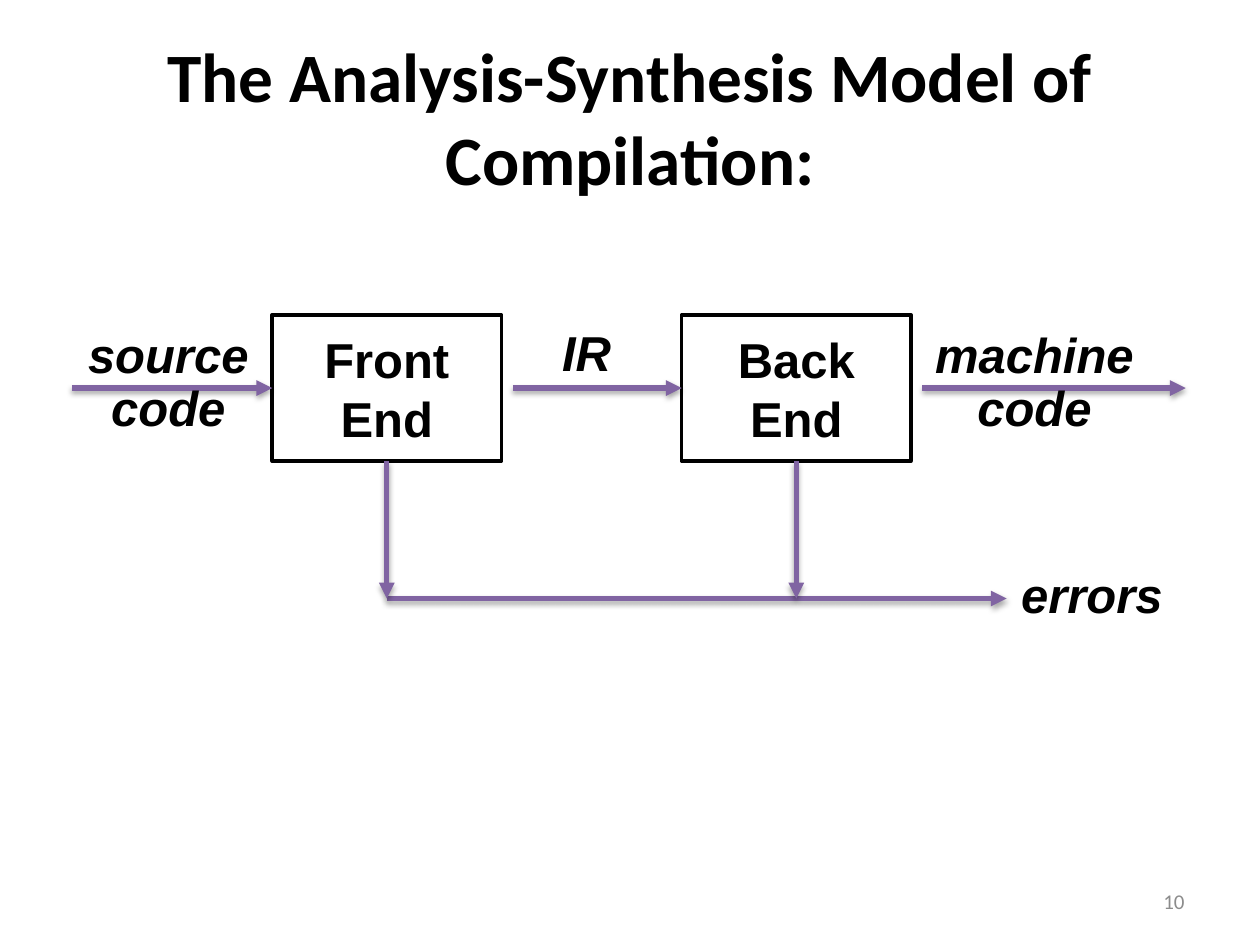
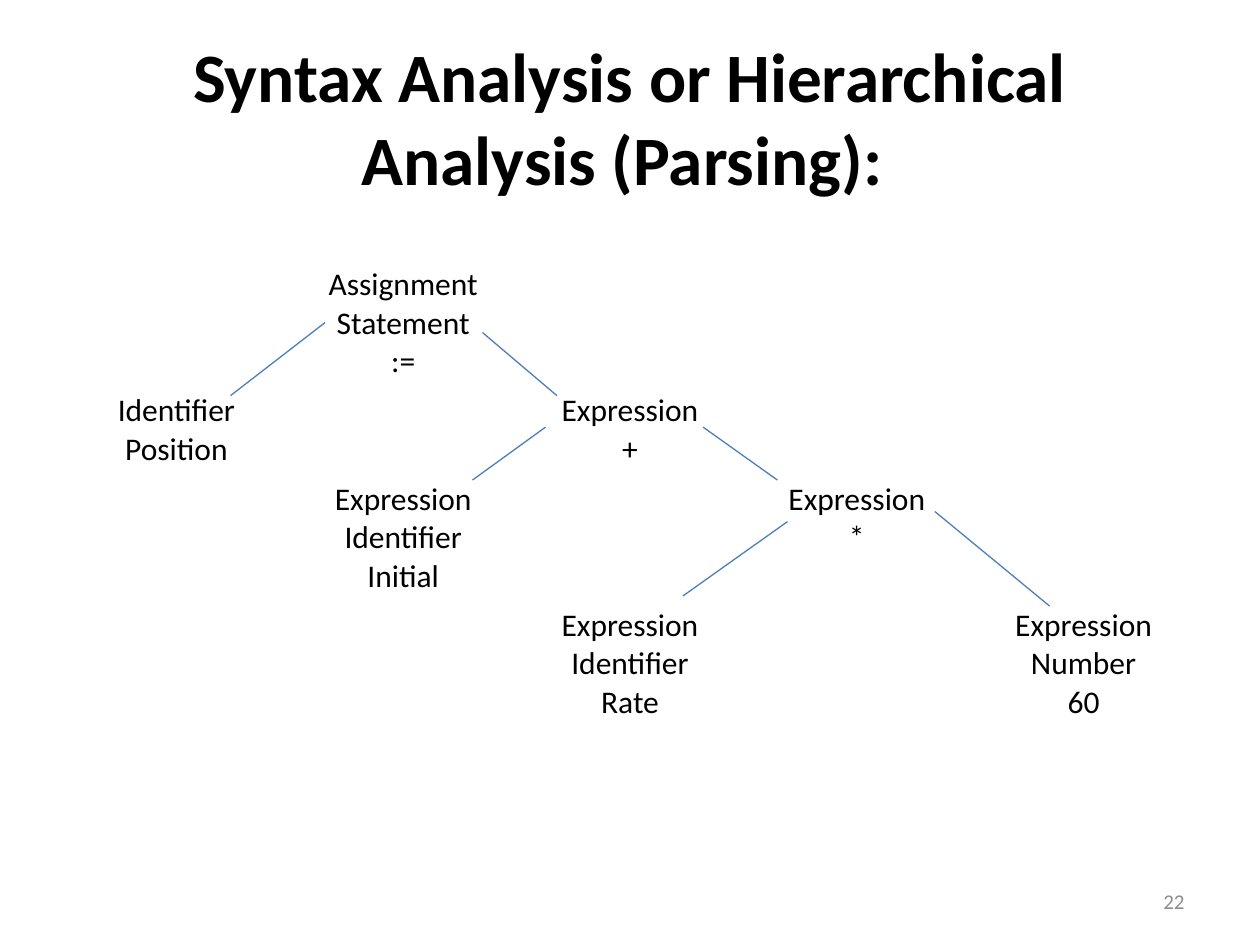
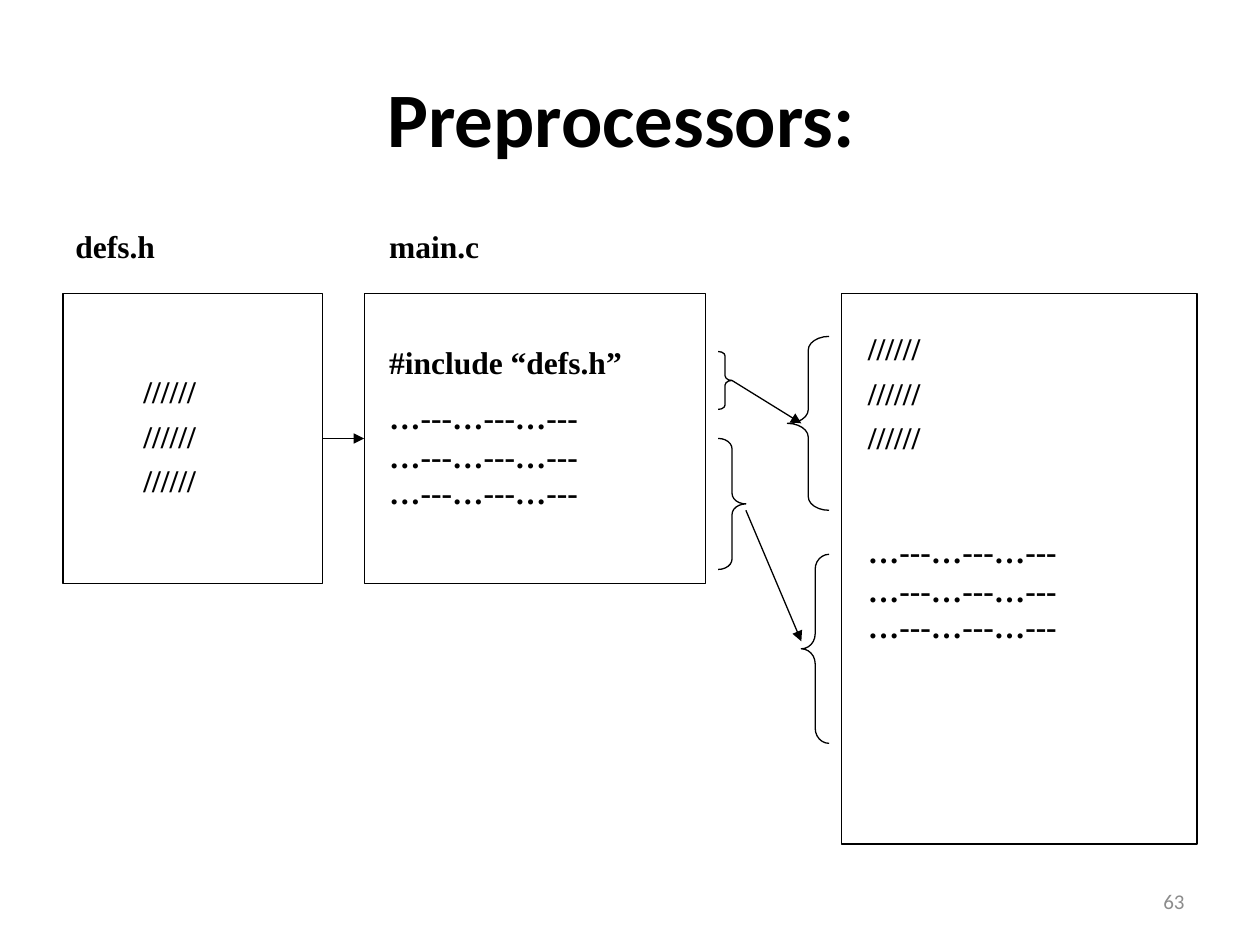
"""Build three slides on compiler structure: model, parse tree and preprocessors."""
from lxml.etree import SubElement
from pptx import Presentation
from pptx.dml.color import RGBColor
from pptx.enum.shapes import MSO_CONNECTOR, MSO_SHAPE
from pptx.enum.text import MSO_ANCHOR, PP_ALIGN
from pptx.oxml.ns import qn
from pptx.util import Inches, Pt

COLORS = {"black": "000000", "white": "FFFFFF", "purple": "8064A2", "blue": "4B7EBC", "gray": "8C8C8C"}
STYLES = {
    "title": {"name": "Calibri", "size": Pt(39.6), "bold": True},
    "short_title": {"name": "Calibri", "size": Pt(44), "bold": True},
    "number": {"name": "Calibri", "size": Pt(12)},
    "stage": {"name": "Arial", "size": Pt(28), "bold": True},
    "flow": {"name": "Arial", "size": Pt(28), "bold": True, "italic": True},
    "tree": {"name": "Calibri", "size": Pt(18)},
    "code": {"name": "Times New Roman", "size": Pt(18), "bold": True},
}


def write_text(text_frame, lines, style, align=PP_ALIGN.CENTER, spacings=(), before=0, color="black"):
    text_frame.word_wrap = True
    for index, line in enumerate(lines):
        paragraph = text_frame.add_paragraph() if index else text_frame.paragraphs[0]
        paragraph.text = line
        paragraph.alignment = align
        if spacings:
            paragraph.line_spacing = spacings[index]
        if index:
            paragraph.space_before = Pt(before)
        for run in paragraph.runs:
            for attribute, value in STYLES[style].items():
                setattr(run.font, attribute, value)
            run.font.color.rgb = RGBColor.from_string(COLORS[color])


def add_line(slide, begin, end, color, width, arrow=True, shadow=False):
    connector = slide.shapes.add_connector(MSO_CONNECTOR.STRAIGHT, *map(Inches, begin + end))
    connector.line.color.rgb = RGBColor.from_string(COLORS[color])
    connector.line.width = Pt(width)
    if arrow:
        SubElement(connector.line._get_or_add_ln(), qn("a:tailEnd"), type="triangle")
    effects = SubElement(connector._element.spPr, qn("a:effectLst"))
    if shadow:
        outer = SubElement(effects, qn("a:outerShdw"), blurRad=str(Pt(3.1)), dist=str(Pt(1.8)),
                           dir="5400000", rotWithShape="0")
        shade = SubElement(outer, qn("a:srgbClr"), val=COLORS["black"])
        SubElement(shade, qn("a:alpha"), val="35000")
    return connector


presentation = Presentation()
presentation.slide_width = Inches(10)
presentation.slide_height = Inches(7.5)

slides = []
for title, title_style, number in [
    ("The Analysis-Synthesis Model of Compilation:", "title", "10"),
    ("Syntax Analysis or Hierarchical Analysis (Parsing): ", "title", "22"),
    ("Preprocessors: ", "short_title", "63"),
]:
    slide = presentation.slides.add_slide(presentation.slide_layouts[6])
    slides.append(slide)
    for text, style, box, align, color in [
        (title, title_style, (0.5, 0.3, 9, 1.25), PP_ALIGN.CENTER, "black"),
        (number, "number", (7.17, 6.95, 2.33, 0.4), PP_ALIGN.RIGHT, "gray"),
    ]:
        shape = slide.shapes.add_textbox(*map(Inches, box))
        shape.text_frame.vertical_anchor = MSO_ANCHOR.MIDDLE
        write_text(shape.text_frame, [text], style, align, color=color)
model_slide, tree_slide, preprocessor_slide = slides

stages = []
for text, left in [("Front\nEnd", 2.16), ("Back\nEnd", 5.41)]:
    shape = model_slide.shapes.add_shape(MSO_SHAPE.RECTANGLE, *map(Inches, (left, 2.5, 1.82, 1.16)))
    shape.shadow.inherit = False
    shape.fill.solid()
    shape.fill.fore_color.rgb = RGBColor.from_string(COLORS["white"])
    shape.line.color.rgb = RGBColor.from_string(COLORS["black"])
    shape.line.width = Pt(2)
    shape.text_frame.vertical_anchor = MSO_ANCHOR.MIDDLE
    write_text(shape.text_frame, [text], "stage")
    stages.append(shape)
front_end, back_end = stages

for begin, end, source, target in [
    ((0.57, 3.08), (2.16, 3.08), None, front_end),
    ((4.07, 3.08), (5.41, 3.08), None, back_end),
    ((7.32, 3.08), (9.41, 3.08), None, None),
    ((3.07, 4.75), (7.99, 4.75), None, None),
    ((3.07, 3.66), (3.07, 4.75), front_end, None),
    ((6.32, 3.66), (6.32, 4.75), back_end, None),
]:
    connector = add_line(model_slide, begin, end, "purple", 3, shadow=True)
    if source:
        connector.begin_connect(source, 2)
    if target:
        connector.end_connect(target, 1)

for text, box in [
    ("source\ncode", (0.49, 2.58, 1.69, 0.94)),
    ("IR", (4.07, 2.56, 1.17, 0.52)),
    ("machine\ncode", (7.24, 2.58, 1.94, 0.94)),
    ("errors", (7.82, 4.48, 1.69, 0.52)),
]:
    shape = model_slide.shapes.add_textbox(*map(Inches, box))
    write_text(shape.text_frame, [text], "flow", spacings=[0.9])

tree_nodes = {
    (0, 1): ["Assignment", "Statement", ":="],
    (1, 0): ["Identifier", "Position"],
    (1, 2): ["Expression", "+"],
    (2, 1): ["Expression", "Identifier", "Initial"],
    (2, 3): ["Expression", "*"],
    (3, 2): ["Expression", "Identifier", "Rate"],
    (3, 4): ["Expression", "Number", "60"],
}
tree_frame = tree_slide.shapes.add_table(5, 5, *map(Inches, (0.5, 2.06, 9, 4.11)))
tree_table = tree_frame.table
tree_table.first_row = False
tree_table.horz_banding = False
for row in tree_table.rows:
    row.height = Inches(0.41)
tree_frame.height = Inches(4.11)
for cell in tree_table.iter_cells():
    cell.fill.background()
for (row, column), lines in tree_nodes.items():
    write_text(tree_table.cell(row, column).text_frame, lines, "tree")

for begin, end in [
    ((1.83, 3.14), (2.58, 2.56)),
    ((3.83, 2.64), (4.42, 3.14)),
    ((3.75, 3.81), (4.33, 3.39)),
    ((5.58, 3.39), (6.17, 3.81)),
    ((7.42, 4.06), (8.33, 4.81)),
    ((5.42, 4.73), (6.25, 4.14)),
]:
    add_line(tree_slide, begin, end, "blue", 0.75, arrow=False)

outlines = []
for kind, box, curve in [
    (MSO_SHAPE.RECTANGLE, (0.5, 2.33, 2.06, 2.3), None),
    (MSO_SHAPE.RECTANGLE, (2.89, 2.33, 2.71, 2.3), None),
    (MSO_SHAPE.RECTANGLE, (6.68, 2.33, 2.82, 4.37), None),
    (MSO_SHAPE.RIGHT_BRACE, (5.7, 2.79, 0.11, 0.46), 0.33),
    (MSO_SHAPE.RIGHT_BRACE, (5.7, 3.48, 0.22, 1.04), 0.38),
    (MSO_SHAPE.LEFT_BRACE, (6.25, 2.67, 0.33, 1.38), 0.33),
    (MSO_SHAPE.LEFT_BRACE, (6.36, 4.4, 0.22, 1.5), 0.54),
]:
    shape = preprocessor_slide.shapes.add_shape(kind, *map(Inches, box))
    shape.shadow.inherit = False
    shape.fill.background()
    shape.line.color.rgb = RGBColor.from_string(COLORS["black"])
    shape.line.width = Pt(0.75)
    if curve:
        shape.adjustments[0] = curve
    outlines.append(shape)

slashes = ["//////"] * 3
dashes = ["…---…---…---"] * 3
for lines, box, spacings in [
    (["defs.h"], (0.5, 1.75, 1.95, 0.55), [1.0]),
    (["main.c"], (2.99, 1.75, 1.95, 0.55), [1.0]),
    (slashes, (1.04, 2.9, 1.41, 1.55), [1.0, 0.7, 0.7]),
    (["#include “defs.h”"] + dashes, (2.99, 2.67, 2.71, 2.01), [1.0, 1.0, 0.5, 0.5]),
    (slashes, (6.79, 2.56, 1.41, 1.55), [1.0, 0.7, 0.7]),
    (dashes, (6.79, 4.17, 2.71, 1.39), [1.0, 0.5, 0.5]),
]:
    shape = preprocessor_slide.shapes.add_textbox(*map(Inches, box))
    write_text(shape.text_frame, lines, "code", PP_ALIGN.LEFT, spacings, before=10)

include_arrow = add_line(preprocessor_slide, (2.56, 3.48), (2.89, 3.48), "black", 0.75)
include_arrow.begin_connect(outlines[0], 3)
include_arrow.end_connect(outlines[1], 1)
for begin, end in [((5.81, 3.02), (6.36, 3.36)), ((5.92, 4.05), (6.36, 5.09))]:
    add_line(preprocessor_slide, begin, end, "black", 0.75)

presentation.save("out.pptx")
